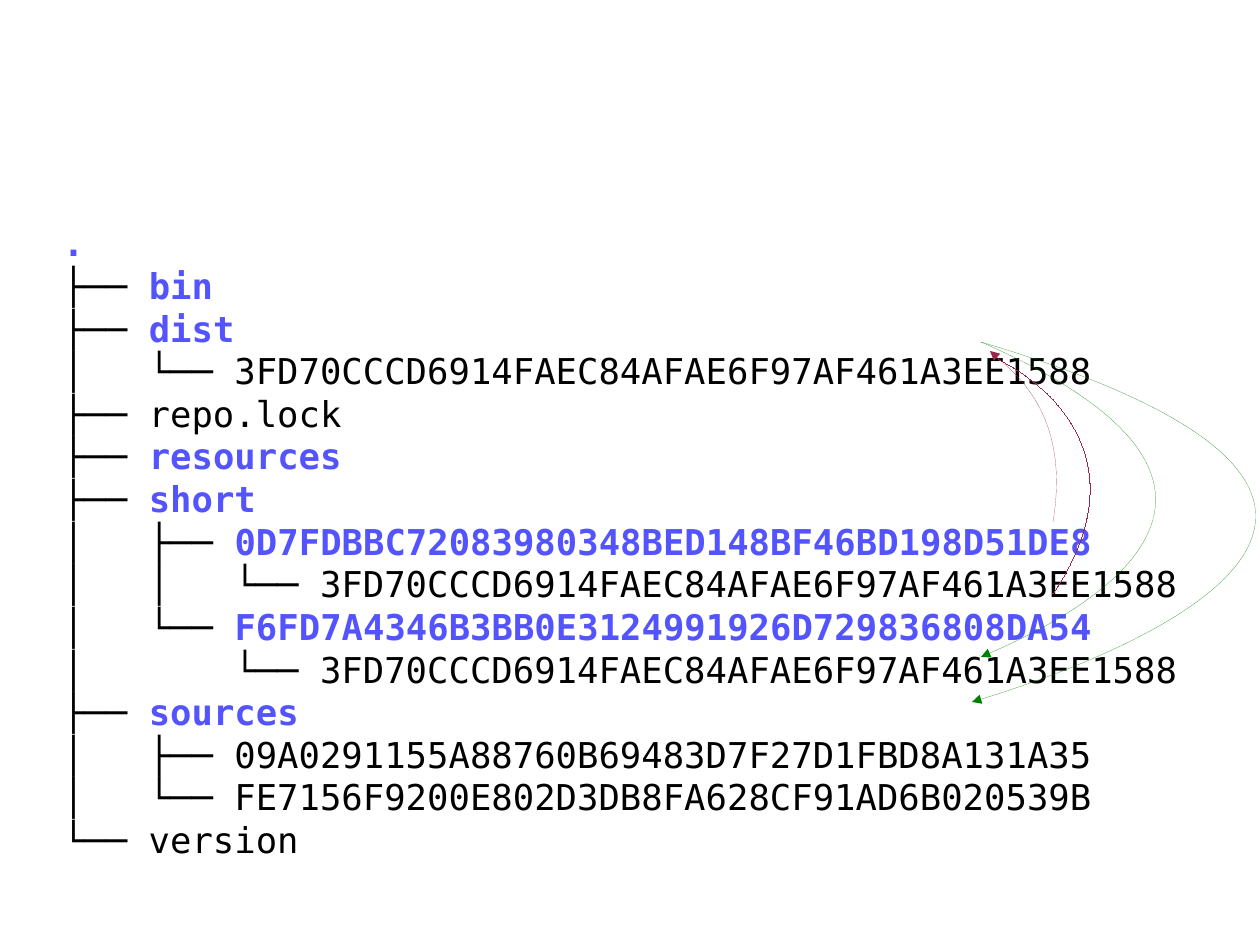
import copy

import pptx
import pptx.dml.color
import pptx.enum.text
import pptx.oxml
import pptx.oxml.ns
import pptx.util
from pptx.util import Cm

TREE = [
    (0, "bin", True),
    (0, "dist", True),
    (1, "3FD70CCCD6914FAEC84AFAE6F97AF461A3EE1588", False),
    (0, "repo.lock", False),
    (0, "resources", True),
    (0, "short", True),
    (1, "0D7FDBBC72083980348BED148BF46BD198D51DE8", True),
    (2, "3FD70CCCD6914FAEC84AFAE6F97AF461A3EE1588", False),
    (1, "F6FD7A4346B3BB0E3124991926D729836808DA54", True),
    (2, "3FD70CCCD6914FAEC84AFAE6F97AF461A3EE1588", False),
    (0, "sources", True),
    (1, "09A0291155A88760B69483D7F27D1FBD8A131A35", False),
    (1, "FE7156F9200E802D3DB8FA628CF91AD6B020539B", False),
    (0, "version", False),
]
# start, control and end points in centimetres
CURVES = [
    ("short link", (23.4, 11.6), (23.8, 9.2), (22, 7.8), True),
    ("short link", (23.4, 13.2), (25.8, 9.6), (22.2, 8), False),
    ("source link", (21.8, 7.6), (30, 11.2), (21.8, 14.6), True),
    ("source link", (21.8, 7.6), (35.2, 11.6), (21.6, 15.6), True),
]
THEME = {
    "font": "DejaVu Sans Mono",
    "size": pptx.util.Pt(22.4),
    "line pitch": pptx.util.Pt(26.85),
    "folder": pptx.dml.color.RGBColor.from_string("5454FF"),
    "file": pptx.dml.color.RGBColor.from_string("000000"),
    "short link": pptx.dml.color.RGBColor.from_string("99284C"),
    "source link": pptx.dml.color.RGBColor.from_string("008000"),
}
NAMESPACE = pptx.oxml.ns.nsdecls("a")
NO_BREAK_SPACE = chr(160)


def has_later_sibling(index, depth):
    for later_depth, _, _ in TREE[index + 1:]:
        if later_depth <= depth:
            return later_depth == depth
    return False


def tree_prefix(index):
    depth = TREE[index][0]
    stems = [
        ("│" if has_later_sibling(index, level) else NO_BREAK_SPACE) + NO_BREAK_SPACE * 3
        for level in range(depth)
    ]
    branch = "├── " if has_later_sibling(index, depth) else "└── "
    return "".join(stems) + branch


def add_run(paragraph, text, is_folder):
    run = paragraph.add_run()
    run.text = text
    run.font.name = THEME["font"]
    run.font.size = THEME["size"]
    run.font.bold = is_folder
    run.font.color.rgb = THEME["folder" if is_folder else "file"]
    return run


def break_after(paragraph, run):
    paragraph.add_line_break()
    paragraph._p[-1].append(copy.deepcopy(run._r.rPr))


def fill_tree(body):
    body.left, body.top, body.width, body.height = Cm(1.4), Cm(4.92), Cm(25.2), Cm(12.17)
    frame = body.text_frame
    frame.margin_left = frame.margin_top = frame.margin_right = frame.margin_bottom = 0
    frame.auto_size = pptx.enum.text.MSO_AUTO_SIZE.NONE
    frame.vertical_anchor = pptx.enum.text.MSO_ANCHOR.TOP
    frame.word_wrap = True
    paragraph = frame.paragraphs[0]
    properties = paragraph._p.get_or_add_pPr()
    properties.set("marL", "0")
    properties.set("indent", "0")
    properties.append(pptx.oxml.parse_xml(f"<a:buNone {NAMESPACE}/>"))
    paragraph.space_before = pptx.util.Pt(0)
    paragraph.line_spacing = THEME["line pitch"]
    run = add_run(paragraph, ". ", True)
    for index, (_, name, is_folder) in enumerate(TREE):
        break_after(paragraph, run)
        prefix = tree_prefix(index)
        if is_folder:
            add_run(paragraph, prefix, False)
            run = add_run(paragraph, name, True)
        else:
            run = add_run(paragraph, prefix + name, False)


def curve_point(start, control, end, t):
    return tuple(
        Cm((1 - t) ** 3 * a + 3 * t * (1 - t) ** 2 * b + (3 * t ** 2 * (1 - t) + t ** 3) * c)
        for a, b, c in zip(start, control, end)
    )


def add_curve(slide, color, start, control, end, has_arrow):
    first, last = (tuple(map(Cm, point)) for point in (start, end))
    peak = max(curve_point(start, control, end, step / 100) for step in range(101))
    builder = slide.shapes.build_freeform(*first)
    builder.add_line_segments([peak, last], close=False)
    shape = builder.convert_to_shape()
    points = "".join(
        f'<a:pt x="{x - shape.left}" y="{y - shape.top}"/>'
        for x, y in (tuple(map(Cm, control)), last, last)
    )
    path = next(shape._element.iter(pptx.oxml.ns.qn("a:path")))
    for segment in path[1:]:
        path.remove(segment)
    path.append(pptx.oxml.parse_xml(f"<a:cubicBezTo {NAMESPACE}>{points}</a:cubicBezTo>"))
    shape.shadow.inherit = False
    shape.fill.background()
    shape.line.color.rgb = THEME[color]
    line = shape.line._get_or_add_ln()
    line.set("w", "0")
    if has_arrow:
        line.append(pptx.oxml.parse_xml(f'<a:tailEnd {NAMESPACE} type="triangle"/>'))


def main():
    presentation = pptx.Presentation()
    presentation.slide_width, presentation.slide_height = Cm(28), Cm(21)
    slide = presentation.slides.add_slide(presentation.slide_layouts[1])
    title = slide.shapes.title._element
    title.getparent().remove(title)
    fill_tree(slide.placeholders[1])
    for curve in CURVES:
        add_curve(slide, *curve)
    presentation.save("out.pptx")


if __name__ == "__main__":
    main()
